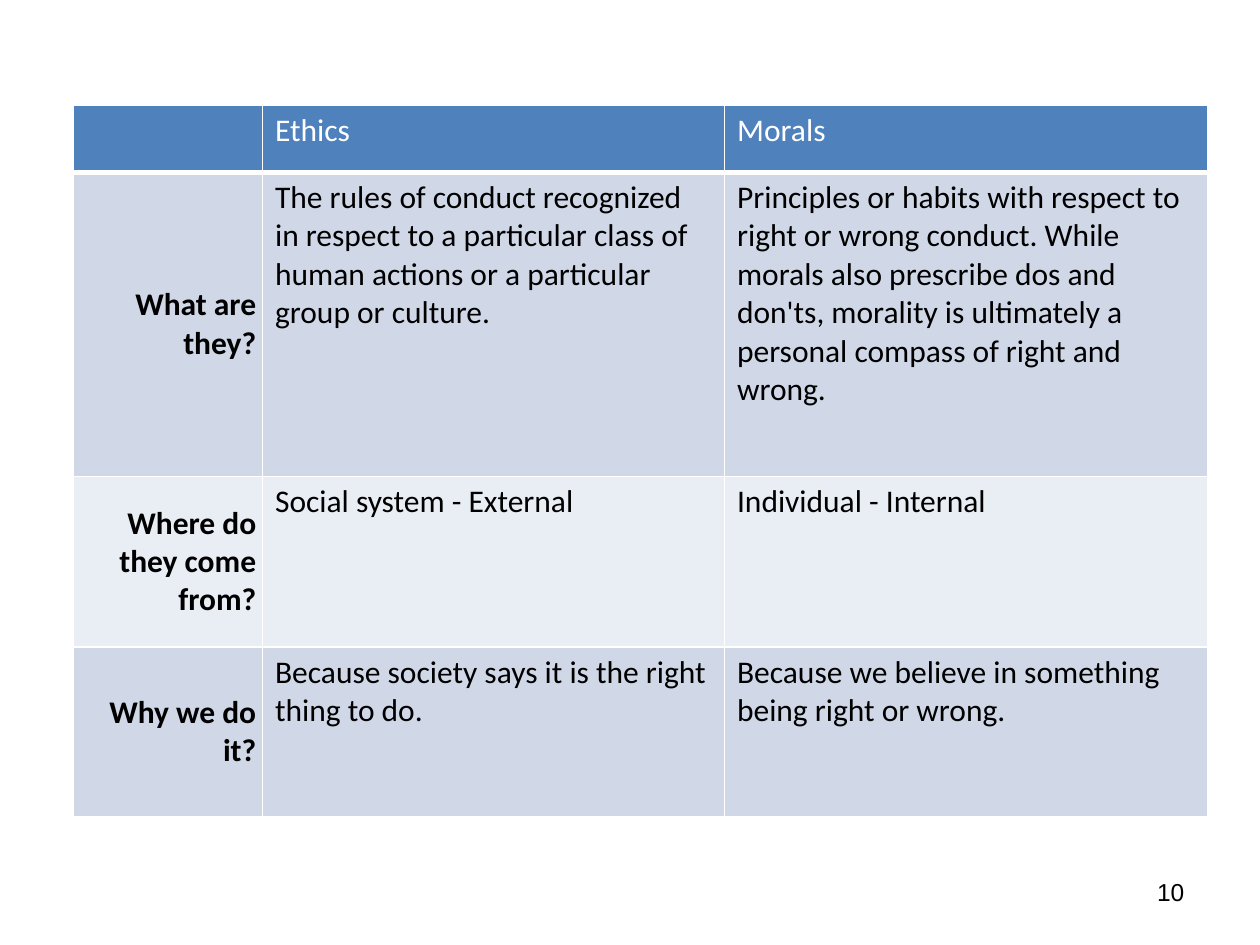
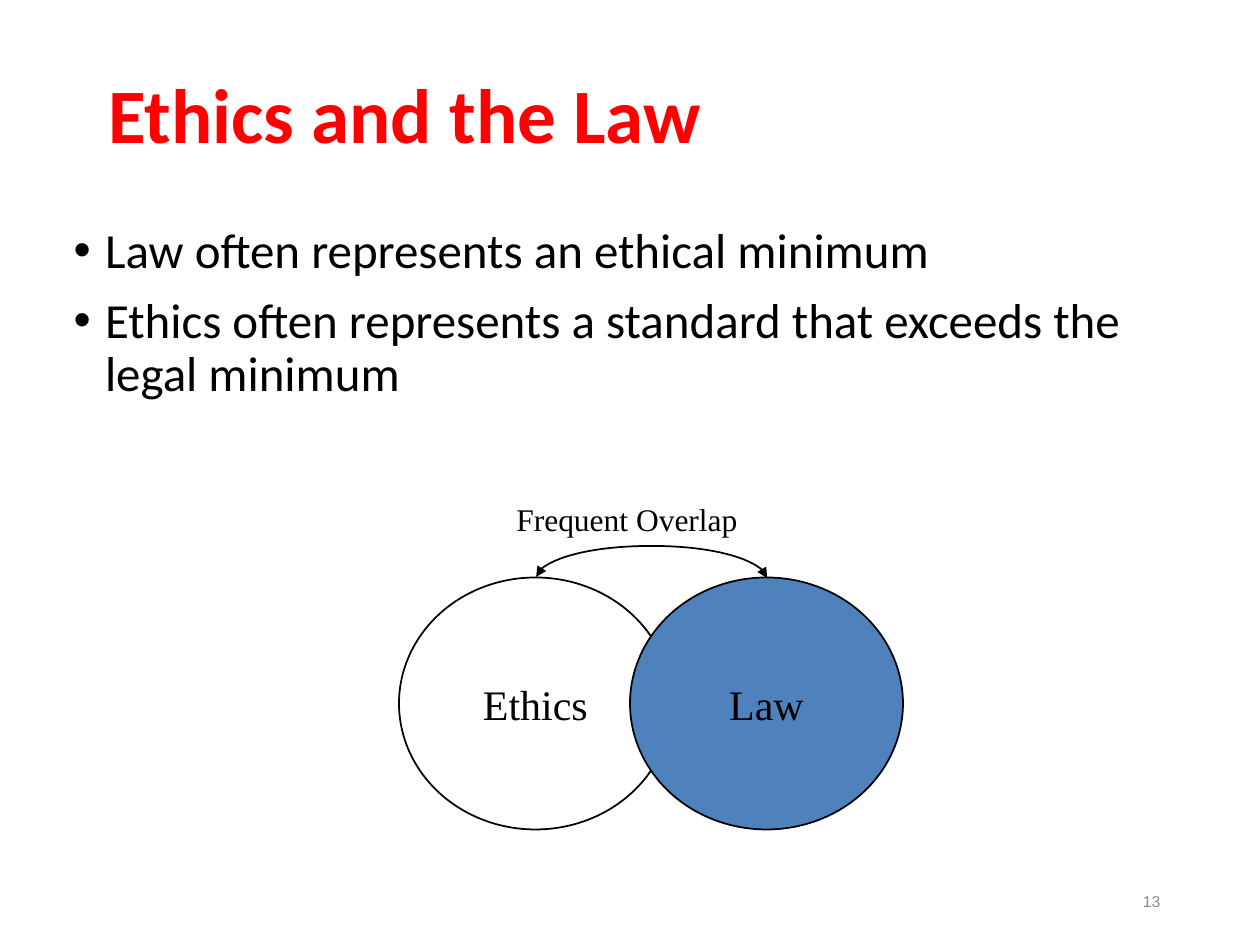
import pptx
import pptx.util
import pptx.dml.color
import pptx.enum.shapes
import pptx.enum.text
import pptx.oxml
import pptx.oxml.ns

COLORS = {"accent": "4F81BD", "band": "D0D8E8", "light": "E9EDF4", "white": "FFFFFF",
          "black": "000000", "title": "FF0000", "muted": "8C8C8C"}
ALIGN = pptx.enum.text.PP_ALIGN
ANCHOR = pptx.enum.text.MSO_ANCHOR
NAMESPACE = pptx.oxml.ns.nsdecls("a")

# Shared text formats
CELL = {"name": "Calibri", "size": 18, "color": "black", "bold": False}
TITLE = {"name": "Calibri", "size": 44, "color": "title", "bold": True}
BODY = {"name": "Calibri", "size": 28, "color": "black"}
DIAGRAM = {"name": "Times New Roman", "size": 24, "color": "black"}
NUMBER = {"name": "Arial", "size": 14, "color": "black"}

# Grid of 120 columns and 90 rows over the slide
deck = pptx.Presentation()
deck.slide_width, deck.slide_height = pptx.util.Inches(10), pptx.util.Inches(7.5)
COLUMN, ROW = deck.slide_width / 120, deck.slide_height / 90


def place(left, top, width, height):
    return [round(left * COLUMN), round(top * ROW), round(width * COLUMN), round(height * ROW)]


def write(frame, lines, style, align=ALIGN.LEFT, anchor=ANCHOR.TOP, wrap=True,
          margin=None, spacing=None, bullet=False):
    frame.word_wrap = wrap
    frame.vertical_anchor = anchor
    if margin is not None:
        for side in ("left", "top", "right", "bottom"):
            setattr(frame, f"margin_{side}", margin)
    for index, line in enumerate(lines):
        para = frame.add_paragraph() if index else frame.paragraphs[0]
        para.alignment = align
        if spacing:
            para.line_spacing = spacing
        if index:
            para.space_before = pptx.util.Pt(10)
        if bullet:
            properties = para._p.get_or_add_pPr()
            indent = pptx.util.Inches(0.25)
            properties.set("marL", str(indent))
            properties.set("indent", str(-indent))
            properties.append(pptx.oxml.parse_xml(f'<a:buFont {NAMESPACE} typeface="Arial"/>'))
            properties.append(pptx.oxml.parse_xml(f'<a:buChar {NAMESPACE} char="•"/>'))
        span = para.add_run()
        span.text = line
        for key, value in style.items():
            if key == "color":
                span.font.color.rgb = pptx.dml.color.RGBColor.from_string(COLORS[value])
            else:
                setattr(span.font, key, pptx.util.Pt(value) if key == "size" else value)


blank = deck.slide_layouts[6]

# Slide 1: comparison table
page = deck.slides.add_slide(blank)
entries = [
    ["", "Ethics", "Morals"],
    ["What are they?",
     "The rules of conduct recognized in respect to a particular class of human actions "
     "or a particular group or culture.",
     "Principles or habits with respect to right or wrong conduct. While morals also prescribe "
     "dos and don'ts, morality is ultimately a personal compass of right and wrong."],
    ["Where do they come from?", "Social system - External", "Individual - Internal"],
    ["Why we do it?", "Because society says it is the right thing to do.",
     "Because we believe in something being right or wrong."],
]
column_widths, row_heights = [18, 44, 46], [6.4, 29, 16.2, 16.2]
table = page.shapes.add_table(
    len(row_heights), len(column_widths),
    *place(7, 10, sum(column_widths), sum(row_heights))).table
for column, width in zip(table.columns, column_widths):
    column.width = round(width * COLUMN)
for row, height in zip(table.rows, row_heights):
    row.height = round(height * ROW)

for row_index, texts in enumerate(entries):
    header = row_index == 0
    fill = "accent" if header else ("light", "band")[row_index % 2]
    for column_index, text in enumerate(texts):
        cell = table.cell(row_index, column_index)
        label = column_index == 0 and not header
        # White rules, heavier under the header
        for side in "LRTB":
            weight = pptx.util.Pt(3 if header and side == "B" else 1)
            cell._tc.get_or_add_tcPr().append(pptx.oxml.parse_xml(
                f'<a:ln{side} {NAMESPACE} w="{weight}"><a:solidFill>'
                f'<a:srgbClr val="{COLORS["white"]}"/></a:solidFill></a:ln{side}>'))
        cell.fill.solid()
        cell.fill.fore_color.rgb = pptx.dml.color.RGBColor.from_string(COLORS[fill])
        if label:
            cell.margin_right = pptx.util.Inches(0.05)
            cell.vertical_anchor = ANCHOR.MIDDLE
        if text:
            style = {**CELL, "bold": label, "color": "white" if header else "black"}
            para = cell.text_frame.paragraphs[0]
            para.alignment = ALIGN.RIGHT if label else ALIGN.LEFT
            span = para.add_run()
            span.text = text
            for key, value in style.items():
                if key == "color":
                    span.font.color.rgb = pptx.dml.color.RGBColor.from_string(COLORS[value])
                else:
                    setattr(span.font, key, pptx.util.Pt(value) if key == "size" else value)

box = page.shapes.add_textbox(*place(110.2, 83.5, 3, 3))
write(box.text_frame, ["10"], NUMBER, margin=0)

# Slide 2: title, bullets and page number
page = deck.slides.add_slide(blank)
box = page.shapes.add_textbox(*place(10.3, 7.3, 99.4, 7.3))
write(box.text_frame, ["Ethics and the Law"], TITLE, margin=0, spacing=0.9)
box = page.shapes.add_textbox(*place(7, 21.5, 106, 46.3))
write(box.text_frame,
      ["Law often represents an ethical minimum",
       "Ethics often represents a standard that exceeds the legal minimum"],
      BODY, margin=0, spacing=0.9, bullet=True)
box = page.shapes.add_textbox(*place(84.7, 83.4, 27, 4.8))
write(box.text_frame, ["13"], {**NUMBER, "size": 9, "color": "muted"},
      align=ALIGN.RIGHT, anchor=ANCHOR.MIDDLE)

# Overlapping circles
circles = []
for text, left, fill in (("Ethics", 38, "white"), ("Law", 60, "accent")):
    circle = page.shapes.add_shape(
        pptx.enum.shapes.MSO_SHAPE.OVAL, *place(left, 55, 26, 24))
    circle.shadow.inherit = False
    circle.fill.solid()
    circle.fill.fore_color.rgb = pptx.dml.color.RGBColor.from_string(COLORS[fill])
    circle.line.color.rgb = pptx.dml.color.RGBColor.from_string(COLORS["black"])
    circle.line.width = pptx.util.Pt(1)
    write(circle.text_frame, [text], DIAGRAM, align=ALIGN.CENTER,
          anchor=ANCHOR.MIDDLE, wrap=False)
    circles.append(circle)

# Curved arrow joining the tops, turned a quarter so that it arches upwards
arch = page.shapes.add_connector(pptx.enum.shapes.MSO_CONNECTOR.CURVE, 0, 0, 0, 0)
arch.begin_connect(circles[0], 0)
arch.end_connect(circles[1], 0)
arch.left, arch.top, arch.width, arch.height = place(62, 44, 0.12, 22)
properties = arch._element.spPr
frame = properties.find(pptx.oxml.ns.qn("a:xfrm"))
frame.set("rot", "5400000")
frame.set("flipV", "1")
guides = properties.find(pptx.oxml.ns.qn("a:prstGeom")).get_or_add_avLst()
guides.append(pptx.oxml.parse_xml(f'<a:gd {NAMESPACE} name="adj1" fmla="val -2500000"/>'))
arch.line.color.rgb = pptx.dml.color.RGBColor.from_string(COLORS["black"])
arch.line.width = pptx.util.Pt(1)
for end in ("headEnd", "tailEnd"):
    arch.line._get_or_add_ln().append(
        pptx.oxml.parse_xml(f'<a:{end} {NAMESPACE} type="triangle"/>'))
properties.append(pptx.oxml.parse_xml(f"<a:effectLst {NAMESPACE}/>"))

box = page.shapes.add_textbox(*place(48, 47, 23.5, 4.8))
write(box.text_frame, ["Frequent Overlap"], {**DIAGRAM, "size": 18}, wrap=False)

deck.save("out.pptx")
